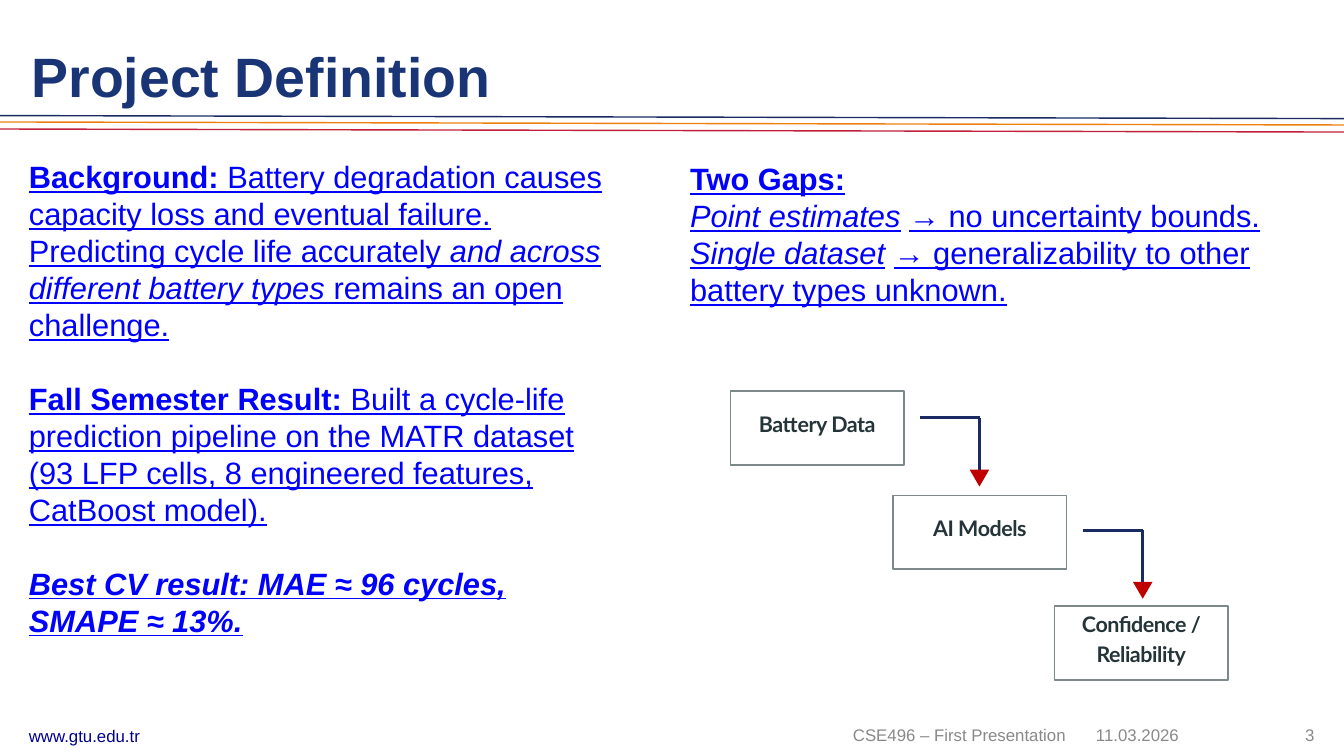
from typing import NamedTuple

from lxml import etree
from pptx import Presentation
from pptx.dml.color import RGBColor
from pptx.enum.shapes import MSO_CONNECTOR, MSO_SHAPE
from pptx.enum.text import MSO_ANCHOR, PP_ALIGN
from pptx.oxml.ns import qn
from pptx.util import Inches, Pt

STRAIGHT = MSO_CONNECTOR.STRAIGHT
RECTANGLE, POINTER = MSO_SHAPE.RECTANGLE, MSO_SHAPE.FLOWCHART_MERGE
TOP, MIDDLE = MSO_ANCHOR.TOP, MSO_ANCHOR.MIDDLE
LEFT, CENTER, RIGHT = PP_ALIGN.LEFT, PP_ALIGN.CENTER, PP_ALIGN.RIGHT

CELL = 0.5
COLUMNS, ROWS = 40, 22.5
NAVY, ORANGE, RED = "1A2A63", "EE8012", "C1203B"
TITLE_BLUE, LINK_BLUE, SITE_BLUE = "1A3576", "0000FF", "000090"
GREY, STEP_EDGE, STEP_TEXT, POINTER_RED = "898989", "7C898B", "253439", "C00000"

BACKGROUND = [
    [("Background:", "bu"),
     (" Battery degradation causes capacity loss and eventual failure. "
      "Predicting cycle life accurately ", "u"),
     ("and across different battery types ", "iu"),
     ("remains an open challenge.", "u")],
    [("Fall Semester Result:", "bu"),
     (" Built a cycle-life prediction pipeline on the MATR dataset "
      "(93 LFP cells, 8 engineered features, CatBoost model).", "u")],
    [("Best CV result: MAE ≈ 96 cycles, SMAPE ≈ 13%.", "biu")],
]
GAPS = [
    [("Two Gaps:", "bu")],
    [("Point estimates", "iu"), (" ", ""), ("→ no uncertainty bounds.", "u")],
    [("Single dataset", "iu"), (" ", ""),
     ("→ generalizability to other battery types unknown.", "u")],
]
STEPS = [("Battery Data", 0, 0), ("AI Models", 4.84, 3.1),
         ("Confidence / Reliability", 9.64, 6.4)]
ARROWS = [(5.64, 0.8), (10.5, 4.14)]


class Box(NamedTuple):
    """A region of the slide grid."""
    col: float
    row: float
    cols: float
    rows: float

    def inner(self, col, row, cols, rows):
        """Return a box placed relative to this one."""
        return Box(self.col + col, self.row + row, cols, rows)

    def place(self):
        """Return left, top, width and height as lengths."""
        return [grid(value) for value in self]


def grid(cells):
    """Turn grid cells into a length."""
    return Inches(cells * CELL)


def color(hex_code):
    """Turn a hex string into a colour."""
    return RGBColor.from_string(hex_code)


def write(frame, paragraphs, size, ink, font="Arial", leading=1.2, align=LEFT,
          anchor=TOP, gap=0, tracking=None, bottom=0):
    """Fill a text frame with paragraphs of (text, style letters) runs."""
    frame.word_wrap = True
    frame.vertical_anchor = anchor
    frame.margin_left = frame.margin_right = frame.margin_top = 0
    frame.margin_bottom = grid(bottom)
    for index, runs in enumerate(paragraphs):
        paragraph = frame.add_paragraph() if index else frame.paragraphs[0]
        paragraph.alignment = align
        paragraph.line_spacing = Pt(round(size * leading, 1))
        if index and gap:
            paragraph.space_before = Pt(gap)
        for words, style in runs:
            run = paragraph.add_run()
            run.text = words
            run.font.name, run.font.size = font, Pt(size)
            run.font.color.rgb = color(ink)
            run.font.bold = "b" in style
            run.font.italic = "i" in style
            run.font.underline = "u" in style
            if tracking:
                run.font._element.set("spc", str(tracking))


def text(slide, box, paragraphs, **style):
    """Add a text box."""
    write(slide.shapes.add_textbox(*box.place()).text_frame, paragraphs, **style)


def rule(slide, start, end, ink, width):
    """Draw a straight line between two grid points."""
    line = slide.shapes.add_connector(
        STRAIGHT, *(grid(value) for value in (*start, *end)))
    line.line.color.rgb = color(ink)
    line.line.width = Pt(width)
    etree.SubElement(line._element.spPr, qn("a:effectLst"))


def header(slide, box):
    """Place the title and its three coloured rules."""
    text(slide, box.inner(0.94, 0.86, 32, 2.76), [[("Project Definition", "b")]],
         size=59.4, ink=TITLE_BLUE, anchor=MIDDLE)
    for ink, row in ((NAVY, 3.44), (ORANGE, 3.63), (RED, 3.84)):
        rule(slide, (box.col - 0.04, box.row + row),
             (box.col + box.cols + 0.04, box.row + row + 0.09), ink, 1.5)


def step(slide, box, label):
    """Place one framed step of the flow."""
    frame = slide.shapes.add_shape(RECTANGLE, *box.place())
    frame.shadow.inherit = False
    frame.fill.background()
    frame.line.color.rgb = color(STEP_EDGE)
    frame.line.width = Pt(1.5)
    write(frame.text_frame, [[(label, "b")]], size=23, ink=STEP_TEXT, font="Lato",
          leading=1.4, align=CENTER, anchor=MIDDLE, tracking=-50, bottom=0.38)


def bent_arrow(slide, box):
    """Draw an arrow that runs right and then down."""
    corner = box.col + box.cols
    rule(slide, (box.col, box.row), (corner, box.row), NAVY, 3.15)
    rule(slide, (corner - 0.02, box.row),
         (corner - 0.02, box.row + box.rows - 0.26), NAVY, 3.15)
    head = slide.shapes.add_shape(
        POINTER, *box.inner(box.cols - 0.3, box.rows - 0.5, 0.58, 0.5).place())
    head.shadow.inherit = False
    head.fill.solid()
    head.fill.fore_color.rgb = color(POINTER_RED)
    head.line.fill.background()


def flow(slide, box):
    """Place the stepped flow and its arrows."""
    for label, col, row in STEPS:
        step(slide, box.inner(col, row, 5.17, 2.2), label)
    for col, row in ARROWS:
        bent_arrow(slide, box.inner(col, row, 1.78, 2.04))


def footer(slide, box):
    """Place the site address, course, date and page number."""
    text(slide, box.inner(0.86, 0.34, 4.88, 0.76), [[("www.gtu.edu.tr", "")]],
         size=18, ink=SITE_BLUE)
    for words, col, cols, align in (
            ("CSE496 – First Presentation", 5.5, 26.22, RIGHT),
            ("11.03.2026", 32.62, 3.46, LEFT),
            ("3", 36.08, 3.04, RIGHT)):
        text(slide, box.inner(col, 0, cols, box.rows), [[(words, "")]],
             size=18, ink=GREY, align=align, anchor=MIDDLE)


def main():
    """Build and save the slide."""
    deck = Presentation()
    deck.slide_width, deck.slide_height = grid(COLUMNS), grid(ROWS)
    slide = deck.slides.add_slide(deck.slide_layouts[6])
    header(slide, Box(0, 0, COLUMNS, 4))
    text(slide, Box(0.86, 4.7, 17.2, 16.32), BACKGROUND,
         size=33, ink=LINK_BLUE, gap=39.6)
    text(slide, Box(20.54, 4.76, 17.2, 7.64), GAPS, size=33, ink=LINK_BLUE)
    flow(slide, Box(21.74, 11.64, 14.82, 8.6))
    footer(slide, Box(0, 21.26, COLUMNS, 1.22))
    deck.save("out.pptx")


if __name__ == "__main__":
    main()
